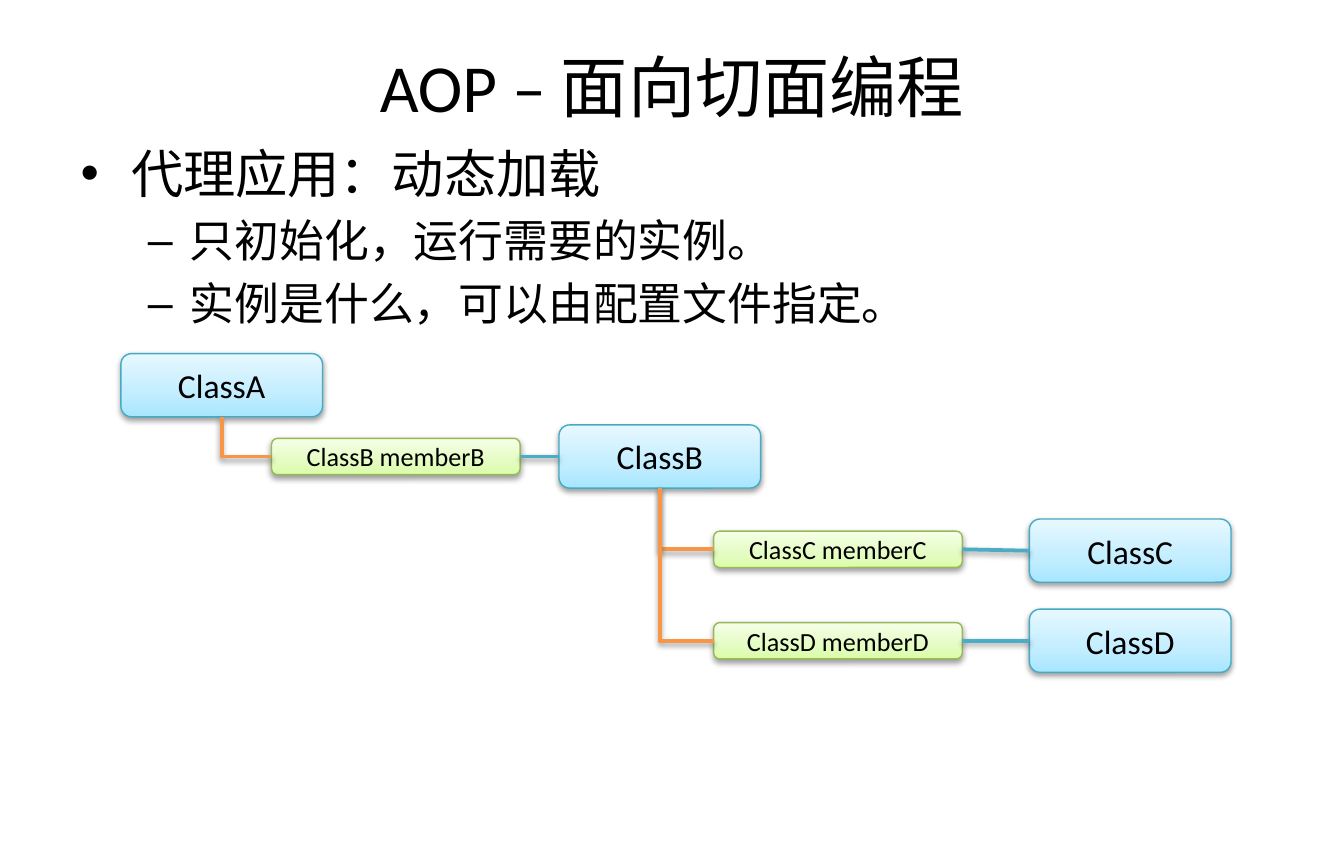
from copy import deepcopy

from pptx import Presentation
from pptx.dml.color import RGBColor
from pptx.enum.shapes import MSO_CONNECTOR, MSO_SHAPE
from pptx.enum.text import MSO_ANCHOR, MSO_AUTO_SIZE, PP_ALIGN
from pptx.oxml import parse_xml
from pptx.oxml.ns import nsdecls, qn
from pptx.util import Pt

STRAIGHT = MSO_CONNECTOR.STRAIGHT
ELBOW = MSO_CONNECTOR.ELBOW
ROUNDED = MSO_SHAPE.ROUNDED_RECTANGLE
MIDDLE = MSO_ANCHOR.MIDDLE
NO_FIT = MSO_AUTO_SIZE.NONE
CENTER = PP_ALIGN.CENTER

PX = 9144  # 100 px to the inch
LEFT, BOTTOM, RIGHT = 1, 2, 3  # connection sites of a rounded rectangle

SHADOW = (
    f'<a:effectLst {nsdecls("a")}>'
    '<a:outerShdw blurRad="40000" dist="20000" dir="5400000" rotWithShape="0">'
    '<a:srgbClr val="000000"><a:alpha val="38000"/></a:srgbClr>'
    '</a:outerShdw></a:effectLst>'
)


def px(length):
    return length * PX


def color(value):
    return RGBColor.from_string(value)


class SlideBuilder:
    font = "Calibri"
    ink = "000000"
    blue = (("A7E6FF", "C1EDFF", "E7F8FF"), "46AAC5")
    green = (("DAFDA7", "E4FCC2", "F5FFE7"), "98B955")
    stop_positions = (0, 0.35, 1)
    owns_line = "F79646"
    type_line = "4BACC6"

    def __init__(self, deck):
        self.page = deck.slides.add_slide(deck.slide_layouts[1])

    def place(self, shape, left, top, width, height):
        shape.left, shape.top = px(left), px(top)
        shape.width, shape.height = px(width), px(height)

    def format_runs(self, para, size):
        for span in para.runs:
            span.font.name = self.font
            span.font.size = Pt(size)
            span.font.color.rgb = color(self.ink)

    def add_shadow(self, shape):
        """Call after the line is set: effects follow it in the XML."""
        shape._element.spPr.append(parse_xml(SHADOW))

    def title(self, text, *bounds):
        title = self.page.shapes.title
        self.place(title, *bounds)
        frame = title.text_frame
        frame.text = text
        frame.auto_size = NO_FIT
        frame.vertical_anchor = MIDDLE
        frame.paragraphs[0].alignment = CENTER
        self.format_runs(frame.paragraphs[0], 36)

    def bullets(self, items, *bounds):
        body = self.page.placeholders[1]
        self.place(body, *bounds)
        frame = body.text_frame
        frame.text = "\n".join(text for _, text in items)
        frame.auto_size = NO_FIT
        for para, (level, _) in zip(frame.paragraphs, items):
            para.level = level
            self.format_runs(para, (28, 24)[level])

    def box(self, text, left, top, width, height, palette, size):
        stop_colors, outline = palette
        box = self.page.shapes.add_shape(
            ROUNDED, px(left), px(top), px(width), px(height))
        box.fill.gradient()
        box.fill.gradient_angle = 90
        stop_list = box._element.spPr.find(".//" + qn("a:gsLst"))
        stop_list.append(deepcopy(stop_list[0]))
        stops = zip(box.fill.gradient_stops, self.stop_positions, stop_colors)
        for stop, position, stop_color in stops:
            stop.position = position
            stop.color.rgb = color(stop_color)
        box.line.color.rgb = color(outline)
        box.line.width = Pt(0.75)
        self.add_shadow(box)
        box.text_frame.text = text
        box.text_frame.vertical_anchor = MIDDLE
        para = box.text_frame.paragraphs[0]
        para.alignment = CENTER
        self.format_runs(para, size)
        return box

    def class_box(self, text, left, top):
        return self.box(text, left, top, 150, 47, self.blue, 18)

    def member_box(self, text, left, top):
        return self.box(text, left, top, 185, 27, self.green, 14)

    def connect(self, kind, start, start_site, end, end_site, line_color):
        link = self.page.shapes.add_connector(kind, 0, 0, 0, 0)
        link.begin_connect(start, start_site)
        link.end_connect(end, end_site)
        link.line.color.rgb = color(line_color)
        link.line.width = Pt(2)
        self.add_shadow(link)
        return link

    def type_link(self, member, target):
        self.connect(STRAIGHT, member, RIGHT, target, LEFT, self.type_line)

    def owns_link(self, owner, member):
        """One-bend connector that runs down from the owner, then right."""
        link = self.connect(ELBOW, owner, BOTTOM, member, LEFT, self.owns_line)
        across, down = link.width, link.height
        link.left += (across - down) // 2
        link.top += (down - across) // 2
        link.width, link.height = down, across
        properties = link._element.spPr
        properties.find(qn("a:prstGeom")).set("prst", "bentConnector2")
        transform = properties.find(qn("a:xfrm"))
        transform.set("rot", "16200000")
        transform.set("flipH", "1")


def main():
    deck = Presentation()
    deck.slide_width, deck.slide_height = px(1000), px(641)
    slide = SlideBuilder(deck)

    slide.title("AOP – 面向切面编程", 50, 26, 900, 75)
    slide.bullets([
        (0, "代理应用：动态加载"),
        (1, "只初始化，运行需要的实例。"),
        (1, "实例是什么，可以由配置文件指定。"),
    ], 50, 100, 899, 457)

    classes = {
        name: slide.class_box(f"Class{name}", left, top)
        for name, left, top in (
            ("A", 90, 263), ("B", 416, 316), ("C", 766, 386), ("D", 766, 453))
    }
    for owner, name, left, top in (
            ("A", "B", 202, 326), ("B", "C", 531, 395), ("B", "D", 531, 463)):
        member = slide.member_box(f"Class{name} member{name}", left, top)
        slide.owns_link(classes[owner], member)
        slide.type_link(member, classes[name])

    deck.save("out.pptx")


if __name__ == "__main__":
    main()
